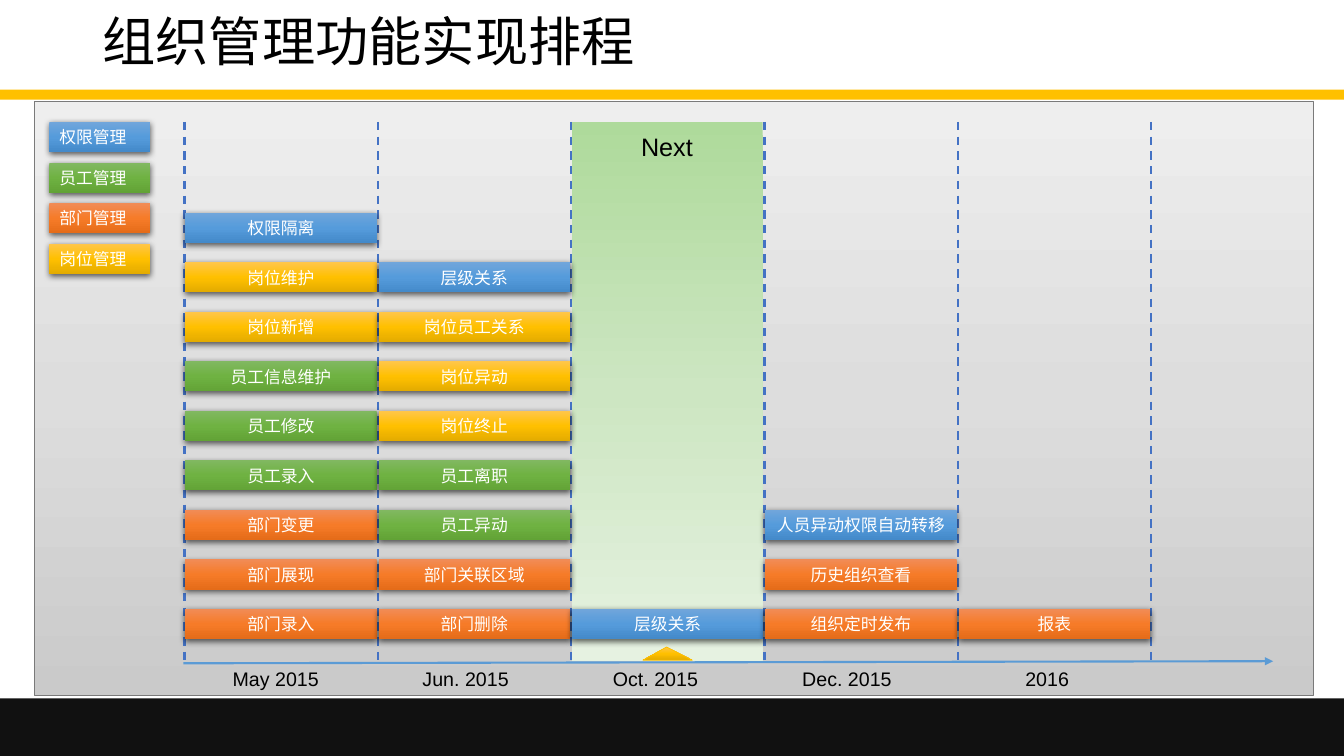
import copy

import pptx
import pptx.dml.color
import pptx.enum.dml
import pptx.enum.shapes
import pptx.enum.text
import pptx.oxml
import pptx.oxml.ns
import pptx.util
from lxml import etree

Pt = pptx.util.Pt
RGBColor = pptx.dml.color.RGBColor
qn = pptx.oxml.ns.qn
Shape = pptx.enum.shapes.MSO_SHAPE
Align = pptx.enum.text.PP_ALIGN
Anchor = pptx.enum.text.MSO_ANCHOR
AutoSize = pptx.enum.text.MSO_AUTO_SIZE

FONT = "Arial"
BLACK = RGBColor(0x00, 0x00, 0x00)
WHITE = RGBColor(0xFF, 0xFF, 0xFF)
GOLD = RGBColor(0xFF, 0xC0, 0x00)
FOOTER = RGBColor(0x11, 0x11, 0x11)
PANEL_EDGE = RGBColor(0x7A, 0x7A, 0x7A)
DIVIDER = RGBColor(0x44, 0x72, 0xC4)
AXIS = RGBColor(0x5B, 0x9B, 0xD5)
PANEL = (RGBColor(0xEE, 0xEE, 0xEE), RGBColor(0xDD, 0xDD, 0xDD), RGBColor(0xCA, 0xCA, 0xCA))
NEXT_BAND = (RGBColor(0xAE, 0xDA, 0x9B), RGBColor(0xCD, 0xE6, 0xC2), RGBColor(0xE6, 0xF2, 0xE1))
ACCESS = (RGBColor(0x71, 0xA6, 0xDB), RGBColor(0x55, 0x9B, 0xDB), RGBColor(0x44, 0x8A, 0xCA))
STAFF = (RGBColor(0x81, 0xB8, 0x61), RGBColor(0x6F, 0xB2, 0x42), RGBColor(0x62, 0xA3, 0x36))
UNIT = (RGBColor(0xF1, 0x8C, 0x57), RGBColor(0xF6, 0x7B, 0x28), RGBColor(0xE5, 0x6C, 0x19))
POST = (RGBColor(0xFF, 0xC6, 0x4B), GOLD, RGBColor(0xE3, 0xAB, 0x00))

TITLE = "组织管理功能实现排程"
LEGEND = [("权限管理", ACCESS), ("员工管理", STAFF), ("部门管理", UNIT), ("岗位管理", POST)]
DATE_CENTERS = [("May 2015", 197), ("Jun. 2015", 332.6), ("Oct. 2015", 468.2),
                ("Dec. 2015", 605), ("2016", 748)]
COLUMNS_FROM_BOTTOM = [
    [("部门录入", UNIT), ("部门展现", UNIT), ("部门变更", UNIT),
     ("员工录入", STAFF), ("员工修改", STAFF), ("员工信息维护", STAFF),
     ("岗位新增", POST), ("岗位维护", POST), ("权限隔离", ACCESS)],
    [("部门删除", UNIT), ("部门关联区域", UNIT), ("员工异动", STAFF),
     ("员工离职", STAFF), ("岗位终止", POST), ("岗位异动", POST),
     ("岗位员工关系", POST), ("层级关系", ACCESS)],
    [("层级关系", ACCESS)],
    [("组织定时发布", UNIT), ("历史组织查看", UNIT), ("人员异动权限自动转移", ACCESS)],
    [("报表", UNIT)],
]

GRID_LEFT, GRID_TOP, GRID_BOTTOM = 131.8, 87.1, 475.2
COLUMN_PITCH, ROW_PITCH = 138.1, 35.37
BAR_WIDTH, BAR_HEIGHT, BOTTOM_BAR_TOP = 136.8, 21.6, 434.9
LEGEND_LEFT, LEGEND_WIDTH, LEGEND_PITCH = 35.3, 72, 29
DATE_TOP, DATE_WIDTH, DATE_HEIGHT = 472.6, 84, 24.2

deck = pptx.Presentation()
deck.slide_width, deck.slide_height = Pt(960), Pt(540)
page = deck.slides.add_slide(deck.slide_layouts[6])


def fill_gradient(shape, colors):
    shape.fill.gradient()
    shape.fill.gradient_angle = 270
    stops = shape._element.spPr.find(qn("a:gradFill")).find(qn("a:gsLst"))
    middle = copy.deepcopy(stops[0])
    middle.set("pos", "50000")
    stops.insert(1, middle)
    for stop, color in zip(shape.fill.gradient_stops, colors):
        stop.color.rgb = color


def add_block(kind, left, top, width, height, paint, edge=None, weight=1):
    shape = page.shapes.add_shape(kind, Pt(left), Pt(top), Pt(width), Pt(height))
    shape.shadow.inherit = False
    if isinstance(paint, RGBColor):
        shape.fill.solid()
        shape.fill.fore_color.rgb = paint
    else:
        fill_gradient(shape, paint)
    if edge is None:
        shape.line.fill.background()
    else:
        shape.line.color.rgb = edge
        shape.line.width = Pt(weight)
    return shape


def write(shape, words, size, color, align):
    para = shape.text_frame.paragraphs[0]
    para.alignment = align
    span = para.add_run()
    span.text = words
    span.font.name = FONT
    span.font.size = Pt(size)
    span.font.color.rgb = color
    return para


def add_bar(left, top, width, words, colors, align):
    bar = add_block(Shape.RECTANGLE, left, top, width, BAR_HEIGHT, colors)
    effects = bar._element.spPr.find(qn("a:effectLst"))
    shadow = etree.SubElement(effects, qn("a:outerShdw"), blurRad=str(Pt(4.5)),
                              dist=str(Pt(1.5)), dir="5400000", algn="ctr", rotWithShape="0")
    tint = etree.SubElement(shadow, qn("a:srgbClr"), val="000000")
    etree.SubElement(tint, qn("a:alpha"), val="63000")
    bar.text_frame.vertical_anchor = Anchor.MIDDLE
    bar.text_frame.word_wrap = True
    write(bar, words, 12, WHITE, align)


def add_text(left, top, width, height, words, size, align):
    box = page.shapes.add_textbox(Pt(left), Pt(top), Pt(width), Pt(height))
    box.text_frame.word_wrap = True
    return box, write(box, words, size, BLACK, align)


def add_label(center, top, width, height, words, size):
    box, para = add_text(center - width / 2, top, width, height, words, size, Align.CENTER)
    box.text_frame.word_wrap = False
    box.text_frame.auto_size = AutoSize.SHAPE_TO_FIT_TEXT


def add_rule(start, end, color):
    rule = page.shapes.add_connector(pptx.enum.shapes.MSO_CONNECTOR.STRAIGHT,
                                     Pt(start[0]), Pt(start[1]), Pt(end[0]), Pt(end[1]))
    rule.line.color.rgb = color
    rule.line.width = Pt(1.5)
    etree.SubElement(rule._element.spPr, qn("a:effectLst"))
    return rule


add_block(Shape.RECTANGLE, 0, 64.1, 960, 7.2, GOLD)
add_block(Shape.RECTANGLE, 0, 498.8, 960, 41.2, FOOTER)
title_box, title_para = add_text(66.2, 0.7, 828, 61.2, TITLE, 38, Align.LEFT)
title_box.text_frame.vertical_anchor = Anchor.MIDDLE
title_para.line_spacing = 0.9

add_block(Shape.RECTANGLE, 24.5, 72.7, 913.7, 424.1, PANEL, PANEL_EDGE)
add_block(Shape.RECTANGLE, 408.6, GRID_TOP, 136.1, 385.2, NEXT_BAND)
marker = add_block(Shape.ISOSCELES_TRIANGLE, 459.2, 462.2, 35.3, 9.4, POST, GOLD, 0.5)
marker.adjustments[0] = 0.48

for column in range(len(COLUMNS_FROM_BOTTOM) + 1):
    x = GRID_LEFT + column * COLUMN_PITCH
    divider = add_rule((x, GRID_TOP), (x, GRID_BOTTOM), DIVIDER)
    divider.line.dash_style = pptx.enum.dml.MSO_LINE.DASH

axis = add_rule((131, 473.8), (909.4, 472.3), AXIS)
etree.SubElement(axis.line._get_or_add_ln(), qn("a:tailEnd"), type="triangle")

for date, center in DATE_CENTERS:
    add_label(center, DATE_TOP, DATE_WIDTH, DATE_HEIGHT, date, 14)

for row, (words, colors) in enumerate(LEGEND):
    add_bar(LEGEND_LEFT, GRID_TOP + row * LEGEND_PITCH, LEGEND_WIDTH, words, colors, Align.LEFT)

for column, tasks in enumerate(COLUMNS_FROM_BOTTOM):
    left = GRID_LEFT + column * COLUMN_PITCH + 0.5
    for row, (words, colors) in enumerate(tasks):
        add_bar(left, BOTTOM_BAR_TOP - row * ROW_PITCH, BAR_WIDTH, words, colors, Align.CENTER)

add_label(476.4, 90.3, 56, 28.8, "Next", 18)

deck.save("out.pptx")
